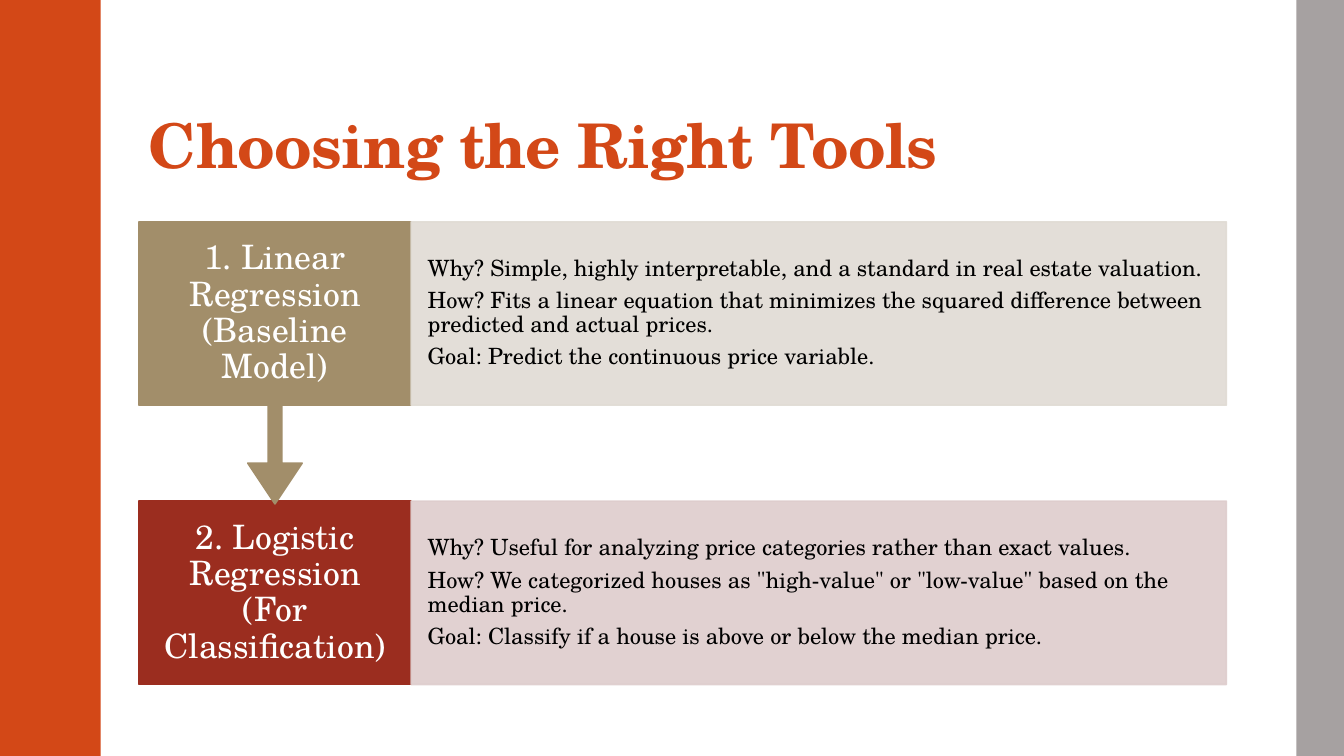
from dataclasses import dataclass

from lxml.etree import SubElement
from pptx import Presentation
from pptx.dml.color import RGBColor
from pptx.enum.shapes import MSO_SHAPE
from pptx.enum.text import MSO_ANCHOR, MSO_AUTO_SIZE, PP_ALIGN
from pptx.oxml.ns import qn
from pptx.util import Cm, Pt


@dataclass(frozen=True)
class Theme:
    font: str = "TeX Gyre Schola"
    orange: str = "D34817"
    gray: str = "A6A1A1"
    tan: str = "A28E6A"
    tan_tint: str = "E0DBD4"
    red: str = "9B2D1F"
    red_tint: str = "DECDCD"
    white: str = "FFFFFF"
    black: str = "000000"
    title_size: int = 44
    label_size: int = 24
    detail_size: int = 16
    line_width: float = 1.1
    line_spacing: float = 0.9
    space_ratio: float = 0.35


class SlideBuilder:
    def __init__(self, slide, theme):
        self.s = slide
        self.theme = theme

    def add_text(self, sp, paragraphs, size, color, align, anchor, insets):
        tf = sp.text_frame
        tf.word_wrap = True
        tf.auto_size = MSO_AUTO_SIZE.NONE
        tf.vertical_anchor = anchor
        tf.margin_left = tf.margin_right = Cm(insets[0])
        tf.margin_top, tf.margin_bottom = Cm(insets[1]), Cm(insets[2])
        for i, text in enumerate(paragraphs):
            p = tf.add_paragraph() if i else tf.paragraphs[0]
            p.alignment = align
            p.line_spacing = self.theme.line_spacing
            r = p.add_run()
            r.text = text
            r.font.name = self.theme.font
            r.font.size = Pt(size)
            r.font.color.rgb = RGBColor.from_string(color)
        return tf

    def title(self, text, left, top, width, height):
        sp = self.s.shapes.title
        sp.left, sp.top, sp.width, sp.height = Cm(left), Cm(top), Cm(width), Cm(height)
        tf = self.add_text(sp, [text], self.theme.title_size, self.theme.orange,
                           PP_ALIGN.LEFT, MSO_ANCHOR.BOTTOM, (0.25, 0.08, 0.13))
        r = tf.paragraphs[0].runs[0]
        r.font.bold = True
        r.font._element.set("spc", "-50")

    def block(self, left, top, width, height, color,
              kind=MSO_SHAPE.RECTANGLE, outlined=False, opacity=100):
        sp = self.s.shapes.add_shape(kind, Cm(left), Cm(top), Cm(width), Cm(height))
        sp.shadow.inherit = False
        sp.fill.solid()
        sp.fill.fore_color.rgb = RGBColor.from_string(color)
        if outlined:
            sp.line.color.rgb = RGBColor.from_string(color)
            sp.line.width = Pt(self.theme.line_width)
        else:
            sp.line.fill.background()
        if opacity < 100:
            for clr in sp._element.spPr.iter(qn("a:srgbClr")):
                SubElement(clr, qn("a:alpha"), val=str(opacity * 1000))
        return sp

    def label(self, text, left, top, width, height, color, arrow_height=0):
        kind = MSO_SHAPE.DOWN_ARROW_CALLOUT if arrow_height else MSO_SHAPE.RECTANGLE
        sp = self.block(left, top, width, height + arrow_height, color, kind, True)
        if arrow_height:
            body_share = height / (height + arrow_height)
            for i, value in enumerate((0.05, 0.1, 0.15, body_share)):
                sp.adjustments[i] = value
        self.add_text(sp, [text], self.theme.label_size, self.theme.white,
                      PP_ALIGN.CENTER, MSO_ANCHOR.MIDDLE, (0.48, 0.48, 0.48))

    def details(self, lines, left, top, width, height, color):
        sp = self.block(left, top, width, height, color, outlined=True, opacity=90)
        size = self.theme.detail_size
        tf = self.add_text(sp, lines, size, self.theme.black,
                           PP_ALIGN.LEFT, MSO_ANCHOR.MIDDLE, (0.42, 0.56, 0.56))
        for p in tf.paragraphs:
            p.space_after = Pt(size * self.theme.space_ratio)


def main():
    theme = Theme()
    slide_w, slide_h = 33.87, 19.05
    prs = Presentation()
    prs.slide_width, prs.slide_height = Cm(slide_w), Cm(slide_h)
    builder = SlideBuilder(prs.slides.add_slide(prs.slide_layouts[5]), theme)

    left, label_w, details_w = 3.5, 6.86, 20.55
    first_top, row_h, row_pitch, arrow_h = 5.59, 4.62, 7.04, 2.49
    gray_left = 32.67

    builder.title("Choosing the Right Tools", left, 0.82, 27.38, 3.88)
    builder.block(0, 0, 2.54, slide_h, theme.orange)
    builder.block(gray_left, 0, slide_w - gray_left, slide_h, theme.gray)

    models = [
        ("1. Linear Regression (Baseline Model)", theme.tan, theme.tan_tint, arrow_h, [
            "Why? Simple, highly interpretable, and a standard in real estate valuation.",
            "How? Fits a linear equation that minimizes the squared difference between "
            "predicted and actual prices.",
            "Goal: Predict the continuous price variable.",
        ]),
        ("2. Logistic Regression (For Classification)", theme.red, theme.red_tint, 0, [
            "Why? Useful for analyzing price categories rather than exact values.",
            'How? We categorized houses as "high-value" or "low-value" based on the '
            "median price.",
            "Goal: Classify if a house is above or below the median price.",
        ]),
    ]
    rows = [(first_top + i * row_pitch, *model) for i, model in enumerate(models)]
    for top, name, color, tint, arrow, lines in reversed(rows):
        builder.label(name, left, top, label_w, row_h, color, arrow)
        builder.details(lines, left + label_w, top, details_w, row_h, tint)

    prs.save("out.pptx")


if __name__ == "__main__":
    main()
